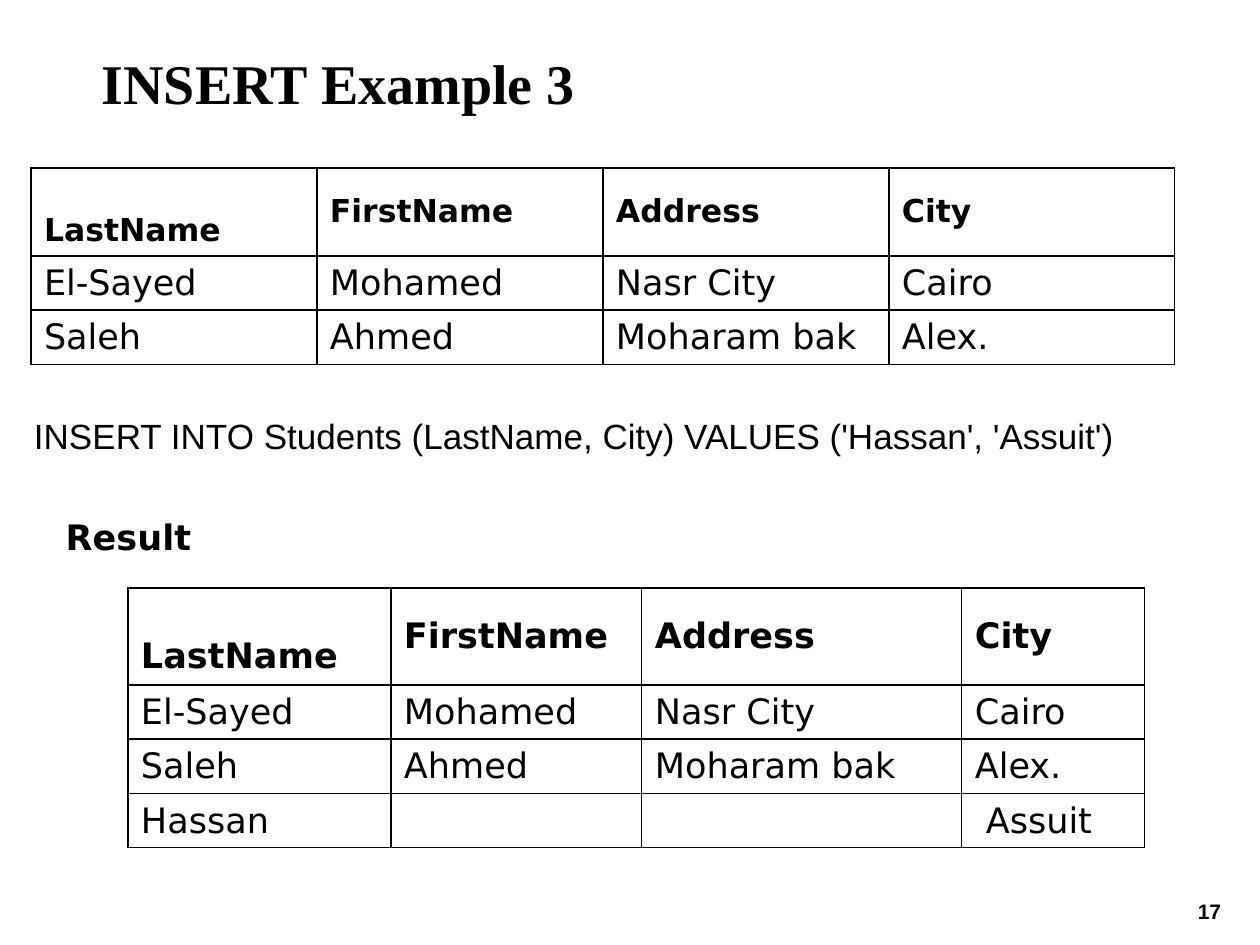
from dataclasses import dataclass

from lxml import etree
from pptx import Presentation
from pptx.dml.color import RGBColor
from pptx.enum.text import MSO_ANCHOR, MSO_AUTO_SIZE, PP_ALIGN
from pptx.oxml.ns import qn
from pptx.util import Emu, Pt

LEFT, CENTER = PP_ALIGN.LEFT, PP_ALIGN.CENTER
TOP, MIDDLE = MSO_ANCHOR.TOP, MSO_ANCHOR.MIDDLE
NO_AUTOFIT = MSO_AUTO_SIZE.NONE
COLORS = {"ink": "000000", "paper": "FFFFFF"}
SANS, SERIF, TABLE_FONT = "Arial", "Times New Roman", "DejaVu Sans"
TITLE_ONLY = 5
PX_PER_INCH = 126
INSET_X, INSET_Y = 13, 6
BORDER_PT = 0.75
STUDENTS = [
    ["LastName", "FirstName", "Address", "City"],
    ["El-Sayed", "Mohamed", "Nasr City", "Cairo"],
    ["Saleh", "Ahmed", "Moharam bak", "Alex."],
]


@dataclass
class Grid:
    left: int
    top: int
    columns: list[int]
    heights: list[int]
    rows: list[list[str]]
    header_size: int = 20
    font: str = TABLE_FONT
    has_header: bool = True
    bordered: bool = True


def px(length: int) -> Emu:
    return Emu(round(length * 914400 / PX_PER_INCH))


def write(frame, text: str, *, size: int, font: str, bold: bool = False,
          align=LEFT, spacing: float = 1.0) -> None:
    paragraph = frame.paragraphs[0]
    paragraph.alignment = align
    paragraph.line_spacing = spacing
    paragraph.font.size = Pt(size)
    if not text:
        return
    run = paragraph.add_run()
    run.text = text
    run.font.size = Pt(size)
    run.font.name = font
    run.font.bold = bold
    run.font.color.rgb = RGBColor.from_string(COLORS["ink"])


def set_borders(cell, bordered: bool) -> None:
    properties = cell._tc.get_or_add_tcPr()
    for position, side in enumerate(("a:lnL", "a:lnR", "a:lnT", "a:lnB")):
        line = etree.Element(qn(side), w=str(Pt(BORDER_PT)))
        if bordered:
            fill = etree.SubElement(line, qn("a:solidFill"))
            etree.SubElement(fill, qn("a:srgbClr"), val=COLORS["ink"])
        else:
            etree.SubElement(line, qn("a:noFill"))
        properties.insert(position, line)


def draw_grid(slide, grid: Grid):
    table = slide.shapes.add_table(
        len(grid.heights), len(grid.columns), px(grid.left), px(grid.top),
        px(sum(grid.columns)), px(sum(grid.heights))).table
    table.first_row = table.horz_banding = False
    for column, width in zip(table.columns, grid.columns):
        column.width = px(width)
    for row, height in zip(table.rows, grid.heights):
        row.height = px(height)
    for row_index, values in enumerate(grid.rows):
        heading = grid.has_header and row_index == 0
        for column_index, value in enumerate(values):
            cell = table.cell(row_index, column_index)
            cell.vertical_anchor = MIDDLE
            cell.margin_left = cell.margin_right = px(INSET_X)
            cell.margin_top = cell.margin_bottom = px(INSET_Y)
            cell.fill.solid()
            cell.fill.fore_color.rgb = RGBColor.from_string(COLORS["paper"])
            set_borders(cell, grid.bordered)
            write(cell.text_frame, value, font=grid.font, bold=heading,
                  size=grid.header_size if heading else 20)
    if grid.has_header:
        # The first heading sits one line lower than the others.
        table.cell(0, 0).margin_top = px(INSET_Y) + Pt(grid.header_size * 1.16)
    return table


def draw_label(slide, text: str, left: int, top: int, width: int, height: int,
               *, anchor=TOP, **text_format) -> None:
    frame = slide.shapes.add_textbox(
        px(left), px(top), px(width), px(height)).text_frame
    frame.word_wrap = True
    frame.vertical_anchor = anchor
    write(frame, text, bold=True, align=CENTER, spacing=0.9, **text_format)


def draw_title(slide, text: str) -> None:
    title = slide.shapes.title
    title.left, title.top = px(89), px(42)
    title.width, title.height = px(1045), px(130)
    title.text_frame.vertical_anchor = TOP
    title.text_frame.auto_size = NO_AUTOFIT
    write(title.text_frame, text, size=32, font=SERIF, bold=True)


def main() -> None:
    presentation = Presentation()
    presentation.slide_width, presentation.slide_height = px(1260), px(945)
    slide = presentation.slides.add_slide(
        presentation.slide_layouts[TITLE_ONLY])

    draw_title(slide, "INSERT Example 3")
    draw_grid(slide, Grid(31, 168, [286] * 4, [88, 54, 55], STUDENTS,
                          header_size=18))
    statement = ("INSERT INTO Students (LastName, City) "
                 "VALUES ('Hassan', 'Assuit')")
    draw_grid(slide, Grid(21, 401, [1134], [72], [[statement]], font=SANS,
                          has_header=False, bordered=False))
    draw_label(slide, "Result", 53, 514, 151, 50, anchor=MIDDLE,
               size=20, font=TABLE_FONT)
    result = draw_grid(slide, Grid(
        128, 588, [263, 251, 320, 183], [97, 54, 55, 54],
        STUDENTS + [["Hassan", "", "", "Assuit"]]))
    result.cell(3, 3).margin_left = px(INSET_X + 11)
    draw_label(slide, "17", 1178, 895, 63, 35, size=12, font=SANS)

    presentation.save("out.pptx")


if __name__ == "__main__":
    main()
